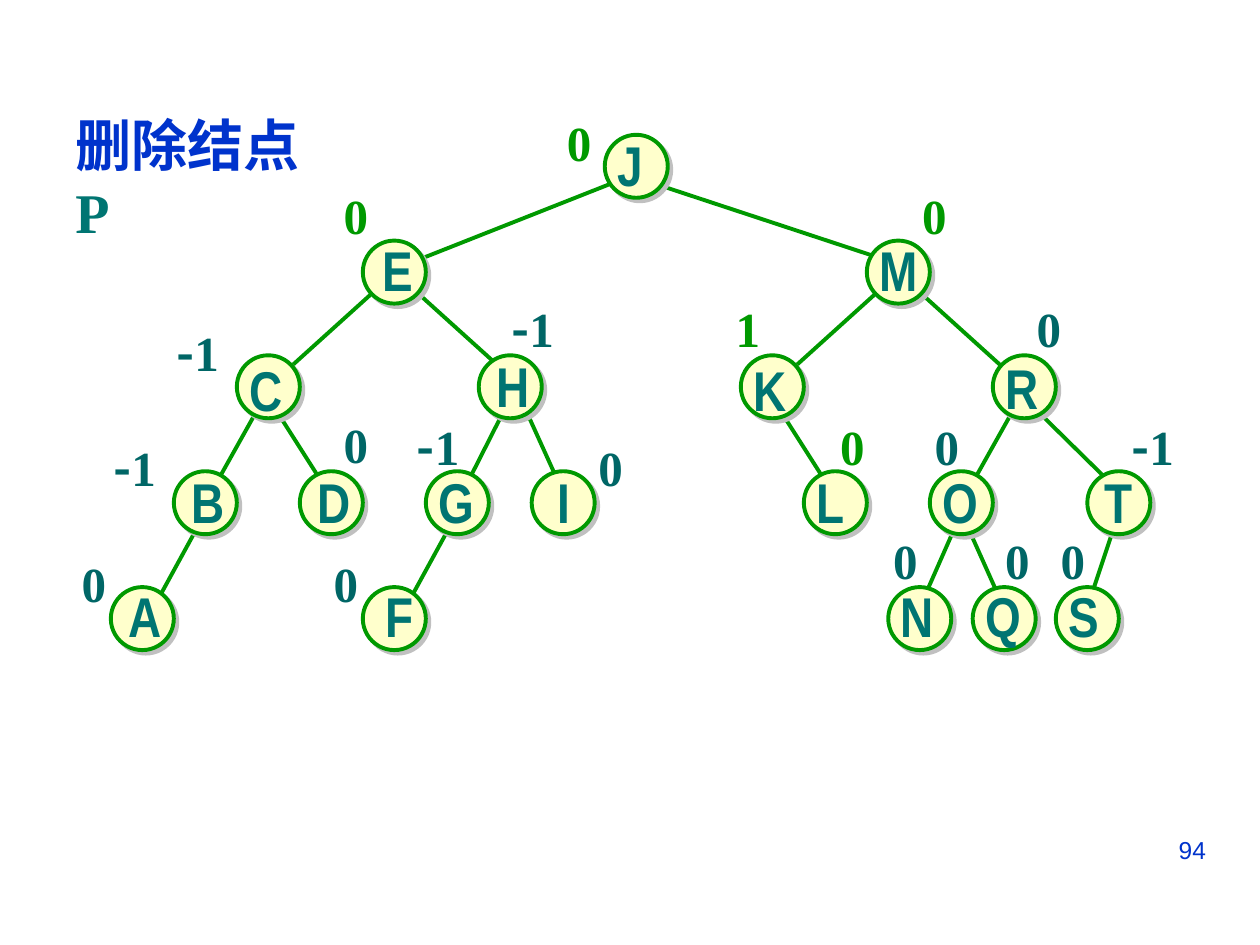
"""Build a slide showing a balanced binary search tree before node P is deleted."""
from lxml import etree
from pptx import Presentation
from pptx.dml.color import RGBColor
from pptx.enum.shapes import MSO_CONNECTOR, MSO_SHAPE
from pptx.enum.text import PP_ALIGN
from pptx.oxml.ns import qn
from pptx.util import Inches, Pt

LINE = MSO_CONNECTOR.STRAIGHT
OVAL = MSO_SHAPE.OVAL
LEFT, RIGHT = PP_ALIGN.LEFT, PP_ALIGN.RIGHT

COLORS = {"blue": "0033CC", "teal": "007572", "dark": "006666",
          "green": "009900", "cream": "FFFFCC", "shade": "C0C0C0"}
SERIF, SANS, NARROW, CJK = "Times New Roman", "Arial", "Arial Narrow", "Noto Sans CJK SC"
LEVEL_TOPS = [1.07, 1.91, 2.82, 3.74, 4.66]
NODE_SIZE = 0.5

# letter, level, circle left, letter left, letter top, letter width
NODES = [
    ("J", 0, 4.8, 4.8, 0.99, 0.4),
    ("E", 1, 2.88, 2.94, 1.82, 0.44),
    ("M", 1, 6.88, 6.88, 1.82, 0.51),
    ("C", 2, 1.88, 1.88, 2.77, 0.47),
    ("H", 2, 3.8, 3.84, 2.74, 0.47),
    ("K", 2, 5.88, 5.88, 2.77, 0.47),
    ("R", 2, 7.88, 7.88, 2.76, 0.47),
    ("B", 3, 1.38, 1.42, 3.66, 0.47),
    ("D", 3, 2.38, 2.42, 3.66, 0.47),
    ("G", 3, 3.38, 3.38, 3.66, 0.48),
    ("I", 3, 4.22, 4.33, 3.66, 0.3),
    ("L", 3, 6.38, 6.38, 3.66, 0.58),
    ("O", 3, 7.38, 7.38, 3.66, 0.48),
    ("T", 3, 8.63, 8.67, 3.66, 0.42),
    ("A", 4, 0.88, 0.92, 4.57, 0.47),
    ("F", 4, 2.88, 2.96, 4.57, 0.42),
    ("N", 4, 7.05, 7.05, 4.57, 0.47),
    ("Q", 4, 7.72, 7.72, 4.57, 0.48),
    ("S", 4, 8.38, 8.38, 4.57, 0.44),
]
BALANCES = [
    ("0", 4.4, 0.84, "green"), ("0", 2.63, 1.42, "green"), ("0", 7.22, 1.42, "green"),
    ("-1", 1.3, 2.51, "dark"), ("-1", 3.96, 2.32, "dark"),
    ("1", 5.74, 2.32, "green"), ("0", 8.13, 2.32, "dark"),
    ("-1", 0.8, 3.42, "dark"), ("0", 2.63, 3.24, "dark"), ("-1", 3.21, 3.26, "dark"),
    ("0", 4.65, 3.42, "dark"), ("0", 6.57, 3.26, "green"), ("0", 7.32, 3.26, "dark"),
    ("-1", 8.88, 3.26, "dark"), ("0", 0.55, 4.34, "dark"), ("0", 2.55, 4.34, "dark"),
    ("0", 6.99, 4.16, "dark"), ("0", 7.88, 4.16, "dark"), ("0", 8.32, 4.16, "dark"),
]
EDGES = [
    (4.97, 1.41, 3.3, 2.07), (5.05, 1.41, 7.05, 2.07),
    (3.05, 2.24, 2.22, 2.99), (3.22, 2.24, 4.05, 2.99),
    (7.05, 2.24, 6.22, 2.99), (7.3, 2.32, 8.13, 3.07),
    (2.05, 3.24, 1.63, 3.99), (2.13, 3.16, 2.55, 3.82),
    (4.05, 3.16, 3.63, 3.99), (4.13, 3.16, 4.47, 3.91),
    (6.13, 3.16, 6.55, 3.82), (8.05, 3.24, 7.63, 3.99),
    (8.13, 3.16, 8.8, 3.82), (1.63, 4.07, 1.22, 4.82),
    (3.63, 4.07, 3.22, 4.82), (7.63, 4.07, 7.3, 4.82),
    (7.63, 4.07, 7.93, 4.74), (8.88, 4.07, 8.63, 4.82),
]


def rgb(name):
    return RGBColor.from_string(COLORS[name])


def add_text(s, box, runs, size, bold=True, align=LEFT):
    tf = s.shapes.add_textbox(*map(Inches, box)).text_frame
    tf.word_wrap = True
    p = tf.paragraphs[0]
    p.alignment = align
    for text, font, color in runs:
        if text == "\n":
            p.add_line_break()
            continue
        r = p.add_run()
        r.text = text
        r.font.name, r.font.size, r.font.bold = font, Pt(size), bold
        r.font.color.rgb = rgb(color)


def add_edge(s, ends):
    edge = s.shapes.add_connector(LINE, *map(Inches, ends))
    edge.line.color.rgb = rgb("green")
    edge.line.width = Pt(2.25)
    etree.SubElement(edge._element.spPr, qn("a:effectLst"))


def add_circle(s, left, top):
    circle = s.shapes.add_shape(OVAL, *map(Inches, (left, top, NODE_SIZE, NODE_SIZE)))
    circle.fill.solid()
    circle.fill.fore_color.rgb = rgb("cream")
    circle.line.color.rgb = rgb("green")
    circle.line.width = Pt(2.25)
    circle.shadow.inherit = False
    effects = circle._element.spPr.find(qn("a:effectLst"))
    shadow = etree.SubElement(effects, qn("a:outerShdw"), blurRad="0", dist=str(Pt(2.8)),
                              dir="2700000", algn="ctr", rotWithShape="0")
    etree.SubElement(shadow, qn("a:srgbClr"), val=COLORS["shade"])


def main():
    prs = Presentation()
    prs.slide_width, prs.slide_height = Inches(10), Inches(7.5)
    s = prs.slides.add_slide(prs.slide_layouts[6])
    add_text(s, (7.17, 6.58, 2.5, 0.52), [("94", SANS, "blue")], 14, False, RIGHT)
    add_text(s, (0.5, 0.83, 2.26, 0.63),
             [("删除结点", SERIF, "blue"), ("\n", SERIF, "blue"), ("P", SERIF, "teal")], 32)
    for ends in EDGES:
        add_edge(s, ends)
    for _, level, left, *_ in NODES:
        add_circle(s, left, LEVEL_TOPS[level])
    for letter, _, _, left, top, width in NODES:
        add_text(s, (left, top, width, 0.63), [(letter, NARROW, "teal")], 32)
    for value, left, top, color in BALANCES:
        runs = [(ch, CJK if ch == "-" else SERIF, color) for ch in value]
        add_text(s, (left, top, 0.4 if len(value) == 1 else 0.59, 0.57), runs, 28)
    prs.save("out.pptx")


if __name__ == "__main__":
    main()
